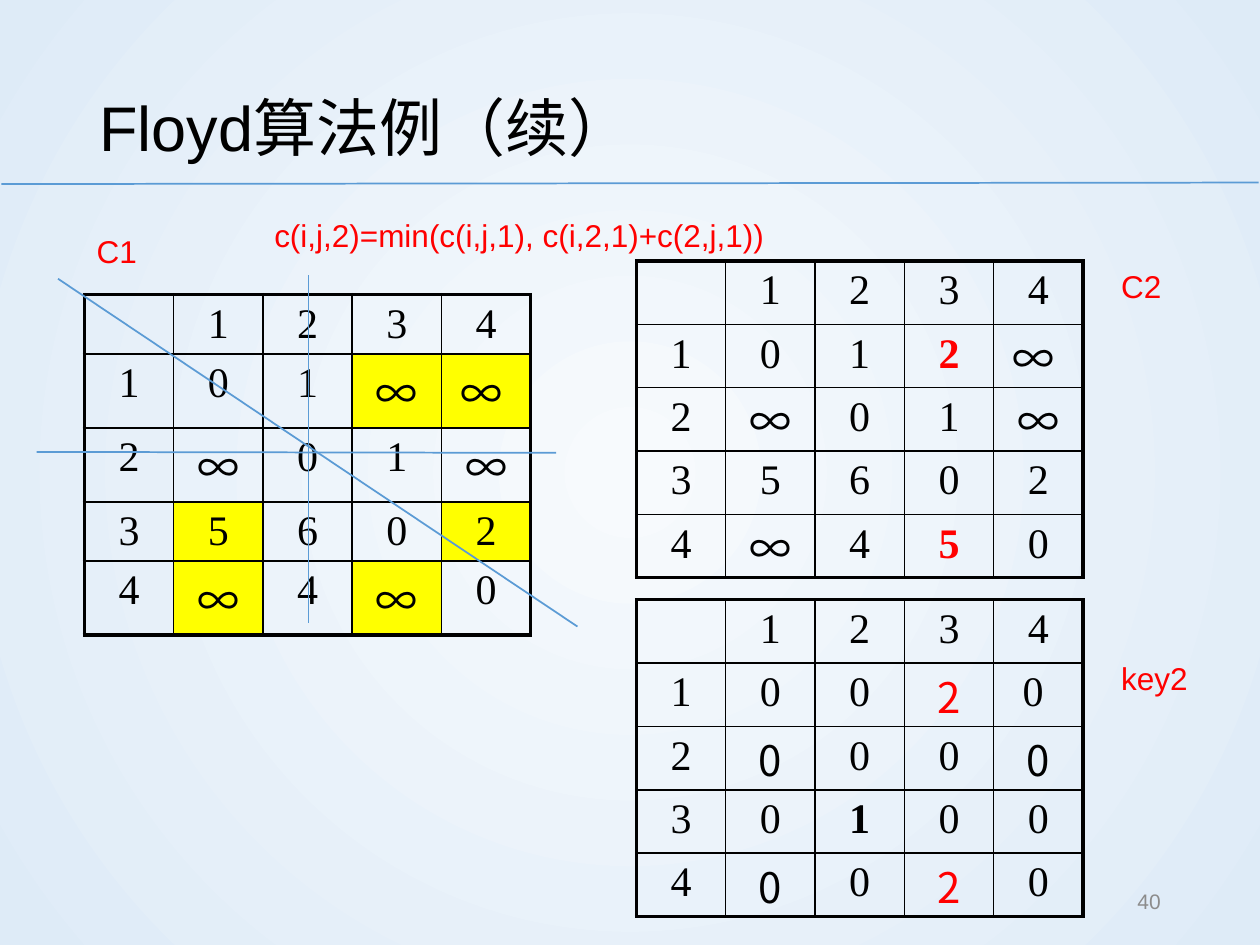
from dataclasses import dataclass

from lxml import etree
from pptx import Presentation
from pptx import util as u
from pptx.dml.color import RGBColor
from pptx.enum import shapes, text
from pptx.oxml.ns import qn


@dataclass(frozen=True)
class Theme:
    sans: str = "Arial"
    serif: str = "Times New Roman"
    cjk: str = "Noto Sans CJK SC"
    ink: str = "000000"
    accent: str = "FF0000"
    mark: str = "FFFF00"
    line: str = "5B9BD5"
    muted: str = "8C8C8C"
    center: str = "F7FAFD"
    edge: str = "DEEBF7"
    title: int = 36
    cell: int = 24
    label: int = 18
    small: int = 12
    thin: float = 1
    thick: float = 2.25


THEME = Theme()
COLUMN = 1.8  # cm
HEADER = ["", "1", "2", "3", "4"]
CELL_MARGIN = 0.13  # cm


def add_span(para, words, size, color, font, bold=False, east=THEME.cjk):
    span = para.add_run()
    span.text = words
    span.font.size = u.Pt(size)
    span.font.bold = bold
    span.font.name = font
    span.font.color.rgb = RGBColor.from_string(color)
    for tag in ("a:ea", "a:sym"):
        etree.SubElement(span.font._element, qn(tag)).set("typeface", east)


def paint_background(page):
    fill = page.background.fill
    fill.gradient()
    for stop, color in zip(fill.gradient_stops, (THEME.center, THEME.edge)):
        stop.color.rgb = RGBColor.from_string(color)
    # Radial gradient from the middle of the page
    gradient = page.element.find(".//" + qn("a:gradFill"))
    gradient.remove(gradient.find(qn("a:lin")))
    radial = etree.SubElement(gradient, qn("a:path"))
    radial.set("path", "circle")
    focus = etree.SubElement(radial, qn("a:fillToRect"))
    for side in "ltrb":
        focus.set(side, "50000")


def add_title(page, box, words):
    title = page.shapes.title
    title.left, title.top, title.width, title.height = (u.Cm(v) for v in box)
    frame = title.text_frame
    frame.word_wrap = True
    frame.auto_size = text.MSO_AUTO_SIZE.NONE
    frame.vertical_anchor = text.MSO_ANCHOR.MIDDLE
    para = frame.paragraphs[0]
    para.alignment = text.PP_ALIGN.LEFT
    para.line_spacing = 1.2
    add_span(para, words, THEME.title, THEME.ink, THEME.sans)


def add_label(page, box, words, size=THEME.label, color=THEME.accent,
              align=text.PP_ALIGN.LEFT, anchor=text.MSO_ANCHOR.TOP):
    label = page.shapes.add_textbox(*(u.Cm(v) for v in box))
    frame = label.text_frame
    frame.word_wrap = True
    frame.vertical_anchor = anchor
    para = frame.paragraphs[0]
    para.alignment = align
    add_span(para, words, size, color, THEME.sans)


def add_line(page, x1, y1, x2, y2):
    line = page.shapes.add_connector(
        shapes.MSO_CONNECTOR.STRAIGHT, *(u.Cm(v) for v in (x1, y1, x2, y2)))
    line.line.color.rgb = RGBColor.from_string(THEME.line)
    line.line.width = u.Pt(THEME.thin)
    etree.SubElement(line._element.spPr, qn("a:effectLst"))


def add_borders(cell, row, column, last):
    outer = {"a:lnL": column == 0, "a:lnR": column == last,
             "a:lnT": row == 0, "a:lnB": row == last}
    properties = cell._tc.get_or_add_tcPr()
    for position, (tag, thick) in enumerate(outer.items()):
        border = etree.Element(qn(tag))
        border.set("w", str(u.Pt(THEME.thick if thick else THEME.thin)))
        solid = etree.SubElement(border, qn("a:solidFill"))
        etree.SubElement(solid, qn("a:srgbClr")).set("val", THEME.ink)
        properties.insert(position, border)


def add_matrix(page, left, top, heights, rows, tall=(), marked=(), red=(), bold=()):
    """Numbered matrix; the sets hold (row, column) pairs with special styling."""
    count = len(HEADER)
    frame = page.shapes.add_table(
        count, count, u.Cm(left), u.Cm(top), u.Cm(COLUMN * count), u.Cm(sum(heights)))
    table = frame.table
    table.first_row = table.horz_banding = False
    for column in table.columns:
        column.width = u.Cm(COLUMN)
    numbered = [HEADER] + [[str(n), *row] for n, row in enumerate(rows, 1)]
    for r, values in enumerate(numbered):
        table.rows[r].height = u.Cm(heights[r])
        for c, words in enumerate(values):
            cell, spot = table.cell(r, c), (r, c)
            wide_font = "∞" in words or spot in tall
            # Tall glyphs get smaller margins where the row is tight
            tight = wide_font and heights[r] < 1.4
            cell.margin_top = u.Cm(0.03 if tight else CELL_MARGIN)
            cell.margin_bottom = u.Cm(0 if tight else CELL_MARGIN)
            if spot in marked:
                cell.fill.solid()
                cell.fill.fore_color.rgb = RGBColor.from_string(THEME.mark)
            else:
                cell.fill.background()
            add_borders(cell, r, c, count - 1)
            para = cell.text_frame.paragraphs[0]
            para.alignment = text.PP_ALIGN.CENTER
            if words:
                add_span(para, words, THEME.cell,
                         THEME.accent if spot in red else THEME.ink,
                         THEME.cjk if wide_font else THEME.serif, spot in bold)
            else:
                para.font.size = u.Pt(THEME.label)


def add_strike_lines(page, left, top, width, height):
    """Lines through row 2, column 2 and the diagonal of the first matrix."""
    add_line(page, left - 0.43, top + 3.49, left + width - 0.43, top + 3.51)
    add_line(page, left + 5.05, top + height - 0.08, left + 5.05, top - 0.08)
    add_line(page, left, top, left + width, top + height)


def build_page(deck):
    page = deck.slides.add_slide(deck.slide_layouts[5])
    paint_background(page)
    # Heading
    add_line(page, 0.03, 3.71, 25.37, 3.68)
    add_title(page, (1.75, 1.02, 21.89, 2.74), "Floyd算法例（续）")
    # First cost matrix
    add_matrix(page, 1.7, 5.94, [1.19, 1.48, 1.48, 1.19, 1.48],
               [["0", "1", "∞", "∞ "], ["∞", "0", "1", "∞"],
                ["5", "6", "0", "2"], ["∞", "4", "∞", "0"]],
               marked={(1, 3), (1, 4), (3, 1), (3, 4), (4, 1), (4, 3)})
    add_label(page, (1.7, 4.55, 1.9, 1.02), "C1")
    add_label(page, (5.28, 4.24, 19.25, 1.02),
              "c(i,j,2)=min(c(i,j,1), c(i,2,1)+c(2,j,1))")
    # Second cost matrix
    even = [1.27] * len(HEADER)
    add_matrix(page, 12.83, 5.26, even,
               [["0", "1", "2", "∞ "], ["∞", "0", "1", "∞"],
                ["5", "6", "0", "2"], ["∞", "4", "5", "0"]],
               red={(1, 3), (4, 3)}, bold={(1, 3), (4, 3)})
    add_label(page, (22.35, 5.26, 1.9, 1.02), "C2")
    add_strike_lines(page, 1.17, 5.62, 10.47, 7.01)
    add_label(page, (17.93, 17.65, 5.72, 1.02), "40", THEME.small, THEME.muted,
              text.PP_ALIGN.RIGHT, text.MSO_ANCHOR.MIDDLE)
    # Key matrix
    add_matrix(page, 12.83, 12.09, even,
               [["0", "0", "2", "0 "], ["0", "0", "0", "0"],
                ["0", "1", "0", "0"], ["0", "0", "2", "0"]],
               tall={(1, 3), (2, 1), (2, 4), (4, 1), (4, 3)},
               red={(1, 3), (4, 3)}, bold={(3, 2)})
    add_label(page, (22.35, 13.16, 1.9, 1.02), "key2")


def main():
    deck = Presentation()
    deck.slide_width, deck.slide_height = u.Cm(25.4), u.Cm(19.05)
    build_page(deck)
    deck.save("out.pptx")


if __name__ == "__main__":
    main()
